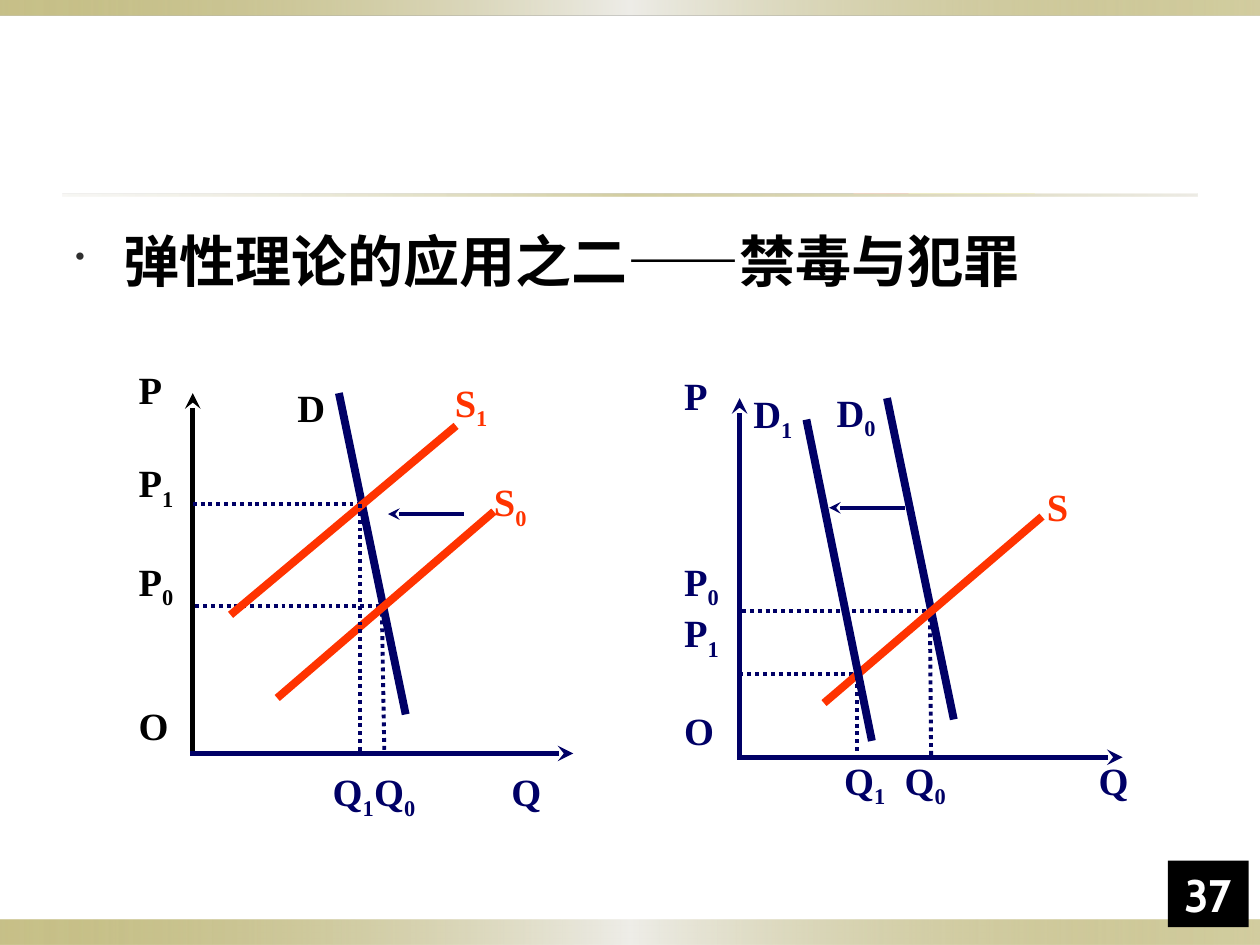
import pptx
import pptx.util
import pptx.dml.color
import pptx.enum.dml
import pptx.enum.shapes
import pptx.enum.text
import pptx.oxml.ns
from lxml import etree

Inches, Pt = pptx.util.Inches, pptx.util.Pt
RGBColor = pptx.dml.color.RGBColor
qn = pptx.oxml.ns.qn

NAVY = RGBColor(0x00, 0x00, 0x66)
RED = RGBColor(0xFF, 0x33, 0x00)
BLACK = RGBColor(0x00, 0x00, 0x00)
WHITE = RGBColor(0xFF, 0xFF, 0xFF)
SERIF = "Times New Roman"
WIDTH, HEIGHT = 10, 7.5

# Content
TITLE = "弹性理论的应用之二——禁毒与犯罪"
PAGE = "37"

# Gradient bands: box, stops (position %, colour, opacity %)
BAR = [(0, "918415", 50), (50, "EEEDE8", 100), (100, "918415", 40)]
RULE = [(0, "DCD9CC", 20), (50, "918415", 40), (100, "DCD9CC", 50)]
BANDS = [
    ((0, 7.3, WIDTH, 0.2), BAR),
    ((0, 0, WIDTH, 0.12), BAR),
    ((0.5, 1.54, 9, 0.02), RULE),
]

# Line kinds: width in points, dotted, arrowhead
KINDS = {
    "axis": (3, False, True),
    "curve": (4.5, False, False),
    "guide": (2.25, True, False),
    "shift": (2.25, False, True),
}

# Labels: text, subscript, left, middle of the capitals, colour
# Lines: kind, from x, from y, to x, to y, colour
DEMAND_CHART = {
    "labels": [
        ("P", "", 5.43, 3.13, NAVY), ("P", "0", 5.43, 4.6, NAVY),
        ("P", "1", 5.43, 5.01, NAVY), ("O", "", 5.43, 5.79, NAVY),
        ("D", "1", 5.98, 3.27, NAVY), ("D", "0", 6.64, 3.26, NAVY),
        ("S", "", 8.31, 4.01, RED), ("Q", "1", 6.7, 6.18, NAVY),
        ("Q", "0", 7.18, 6.18, NAVY), ("Q", "", 8.72, 6.18, NAVY),
    ],
    "lines": [
        ("axis", 5.85, 6.01, 8.91, 6.01, NAVY),
        ("axis", 5.87, 6, 5.87, 3.16, NAVY),
        ("curve", 7.04, 3.16, 7.57, 5.71, NAVY),
        ("guide", 5.87, 5.35, 6.8, 5.35, NAVY),
        ("guide", 5.89, 4.85, 7.38, 4.85, NAVY),
        ("guide", 7.38, 4.84, 7.39, 6, NAVY),
        ("curve", 6.54, 5.58, 8.27, 4.1, RED),
        ("guide", 6.8, 5.37, 6.8, 6, NAVY),
        ("curve", 6.4, 3.33, 6.92, 5.88, NAVY),
        ("shift", 7.18, 4.03, 6.58, 4.03, NAVY),
    ],
}
SUPPLY_CHART = {
    "labels": [
        ("P", "", 1.1, 3.08, BLACK), ("P", "1", 1.1, 3.82, BLACK),
        ("P", "0", 1.1, 4.6, BLACK), ("O", "", 1.1, 5.75, BLACK),
        ("D", "", 2.36, 3.22, BLACK), ("S", "1", 3.61, 3.18, RED),
        ("S", "0", 3.92, 3.97, RED), ("Q", "1", 2.64, 6.27, NAVY),
        ("Q", "0", 2.97, 6.27, NAVY), ("Q", "", 4.06, 6.27, NAVY),
    ],
    "lines": [
        ("axis", 1.51, 5.98, 4.55, 5.98, NAVY),
        ("axis", 1.53, 5.96, 1.53, 3.12, BLACK),
        ("curve", 2.69, 3.12, 3.22, 5.67, NAVY),
        ("guide", 1.53, 4, 2.86, 4, NAVY),
        ("guide", 1.55, 4.81, 3.03, 4.81, NAVY),
        ("guide", 3.03, 4.8, 3.05, 5.96, NAVY),
        ("curve", 1.83, 4.88, 3.62, 3.38, RED),
        ("curve", 2.2, 5.54, 3.92, 4.06, RED),
        ("guide", 2.86, 4, 2.86, 5.96, NAVY),
        ("shift", 3.68, 4.08, 3.08, 4.08, NAVY),
    ],
}
LABEL_W, LABEL_H = 0.6, 0.35


def add_child(parent, tag, **attrs):
    return etree.SubElement(parent, qn(tag), attrs)


def style(r, size, font, color):
    r.font.size, r.font.name, r.font.bold = Pt(size), font, True
    r.font.color.rgb = color


def add_rect(s, box):
    sp = s.shapes.add_shape(pptx.enum.shapes.MSO_SHAPE.RECTANGLE, *map(Inches, box))
    sp.shadow.inherit = False
    sp.line.fill.background()
    return sp


def add_band(s, box, stops):
    sp = add_rect(s, box)
    sp.fill.gradient()
    sp.fill.gradient_angle = 0
    stop_list = sp.element.spPr.find(qn("a:gradFill")).find(qn("a:gsLst"))
    for old in list(stop_list):
        stop_list.remove(old)
    for pos, color, opacity in stops:
        gs = add_child(stop_list, "a:gs", pos=str(pos * 1000))
        clr = add_child(gs, "a:srgbClr", val=color)
        add_child(clr, "a:alpha", val=str(opacity * 1000))


def add_title(s):
    tf = s.shapes.add_textbox(*map(Inches, (0.5, 1.75, 9, 5.13))).text_frame
    tf.word_wrap = True
    tf.text = TITLE
    p = tf.paragraphs[0]
    style(p.runs[0], 32, SERIF, BLACK)
    pPr = p._p.get_or_add_pPr()
    pPr.set("marL", str(Inches(0.38)))
    pPr.set("indent", str(-Inches(0.38)))
    before = add_child(pPr, "a:spcBef")
    add_child(before, "a:spcPct", val="20000")
    bullet_color = add_child(pPr, "a:buClr")
    add_child(bullet_color, "a:srgbClr", val="2F2F2F")
    add_child(pPr, "a:buSzPct", val="50000")
    add_child(pPr, "a:buChar", char="•")


def add_label(s, text, sub, left, middle, color):
    box = (left, middle - LABEL_H / 2, LABEL_W, LABEL_H)
    tf = s.shapes.add_textbox(*map(Inches, box)).text_frame
    tf.word_wrap = True
    tf.margin_left = tf.margin_right = tf.margin_top = tf.margin_bottom = 0
    tf.text = text
    p = tf.paragraphs[0]
    if sub:
        r = p.add_run()
        r.text = sub
        r.font._element.set("baseline", "-25000")
    for r in p.runs:
        style(r, 22, SERIF, color)


def add_line(s, kind, x1, y1, x2, y2, color):
    width, dotted, arrow = KINDS[kind]
    line = s.shapes.add_connector(
        pptx.enum.shapes.MSO_CONNECTOR.STRAIGHT, *map(Inches, (x1, y1, x2, y2)))
    line.line.color.rgb = color
    line.line.width = Pt(width)
    if dotted:
        line.line.dash_style = pptx.enum.dml.MSO_LINE.ROUND_DOT
    if arrow:
        add_child(line.line._get_or_add_ln(), "a:tailEnd", type="stealth")
    add_child(line.element.spPr, "a:effectLst")


def add_page_number(s):
    sp = add_rect(s, (9.27, 6.83, 0.64, 0.53))
    sp.fill.solid()
    sp.fill.fore_color.rgb = BLACK
    tf = sp.text_frame
    tf.vertical_anchor = pptx.enum.text.MSO_ANCHOR.BOTTOM
    tf.text = PAGE
    tf.paragraphs[0].alignment = pptx.enum.text.PP_ALIGN.CENTER
    style(tf.paragraphs[0].runs[0], 26, "Cabin", WHITE)


def main():
    prs = pptx.Presentation()
    prs.slide_width, prs.slide_height = Inches(WIDTH), Inches(HEIGHT)
    s = prs.slides.add_slide(prs.slide_layouts[6])

    # Background bands and heading
    for box, stops in BANDS:
        add_band(s, box, stops)
    add_title(s)

    # Supply and demand diagrams
    for chart in (DEMAND_CHART, SUPPLY_CHART):
        for label in chart["labels"]:
            add_label(s, *label)
        for line in chart["lines"]:
            add_line(s, *line)

    add_page_number(s)
    prs.save("out.pptx")


if __name__ == "__main__":
    main()
